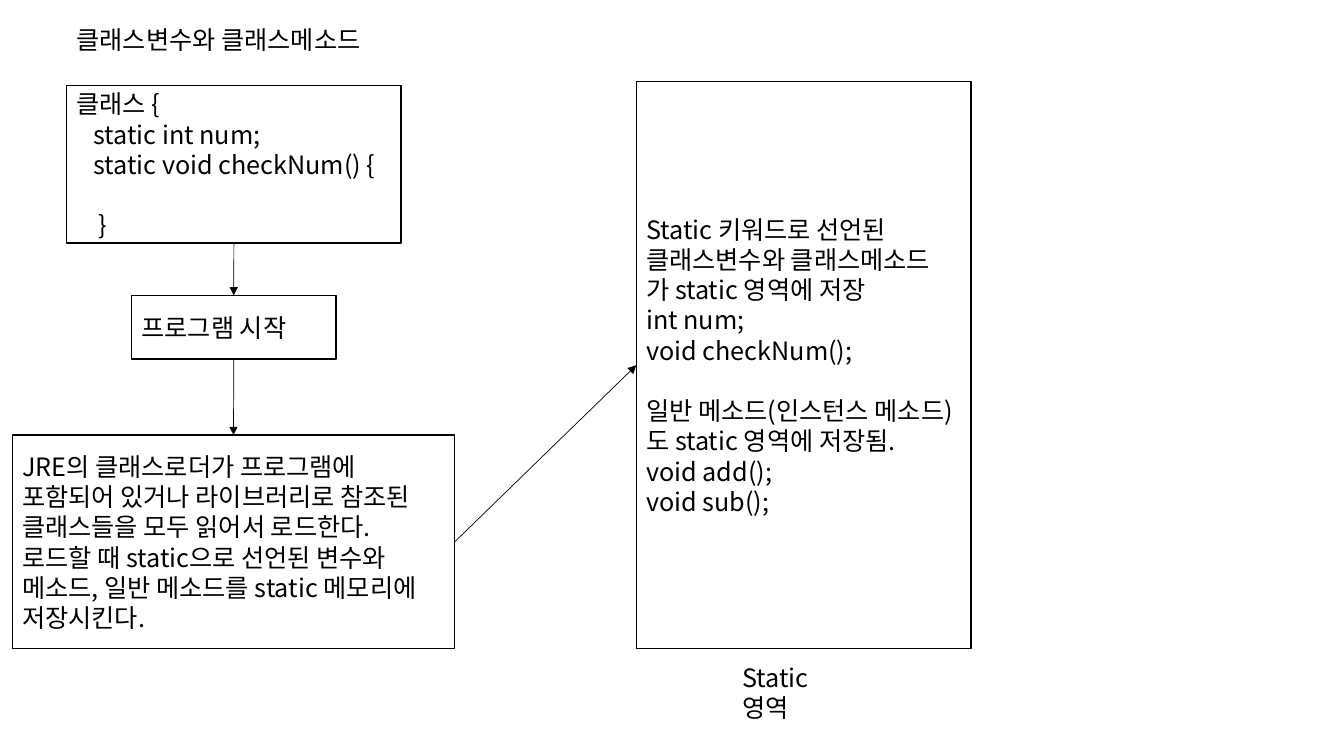
from pptx import Presentation
from pptx.dml.color import RGBColor
from pptx.enum.shapes import MSO_CONNECTOR as Link, MSO_SHAPE as Form
from pptx.enum.text import MSO_ANCHOR as Anchor, PP_ALIGN as Align
from pptx.oxml.ns import qn
from pptx.util import Pt
from lxml.etree import SubElement as Sub

LINE = 21.6  # height of one text line
TOP, LEFT, BASE, RIGHT = range(4)  # connection sites of a rectangle


def color(code):
    return RGBColor.from_string(code)


def write(para, text, size=18, font="Noto Sans CJK KR", ink="000000", indent=0, gap=0):
    para.alignment = Align.LEFT
    para.space_before = Pt(gap)
    para.line_spacing = 1.0
    props = para._p.get_or_add_pPr()
    props.set("marL", str(Pt(indent)))
    props.set("indent", "0")
    run = para.add_run()
    run.text = text
    run.font.size = Pt(size)
    run.font.name = font
    run.font.color.rgb = color(ink)
    Sub(run._r.get_or_add_rPr(), qn("a:ea"), typeface=font)


class Board:
    ink = "000000"
    edge = 1
    thin = 0.5

    def __init__(self, slide):
        self.items = slide.shapes

    def fill(self, shape, lines, anchor, inset=7.2):
        frame = shape.text_frame
        frame.word_wrap = True
        frame.vertical_anchor = anchor
        frame.margin_right = Pt(inset)
        for num, line in enumerate(lines):
            text, style = line if isinstance(line, tuple) else (line, {})
            para = frame.add_paragraph() if num else frame.paragraphs[0]
            write(para, text, ink=self.ink, **style)

    def label(self, text, x, y, w, h, inset=7.2):
        area = self.items.add_textbox(Pt(x), Pt(y), Pt(w), Pt(h))
        self.fill(area, [text], Anchor.TOP, inset)

    def box(self, lines, x, y, w, h):
        rect = self.items.add_shape(Form.RECTANGLE, Pt(x), Pt(y), Pt(w), Pt(h))
        rect.shadow.inherit = False
        rect.fill.background()
        rect.line.color.rgb = color(self.ink)
        rect.line.width = Pt(self.edge)
        self.fill(rect, lines, Anchor.MIDDLE)
        return rect

    def arrow(self, start, out, end, into):
        link = self.items.add_connector(Link.STRAIGHT, 0, 0, 0, 0)
        link.begin_connect(start, out)
        link.end_connect(end, into)
        link.line.color.rgb = color(self.ink)
        link.line.width = Pt(self.thin)
        Sub(link.line._get_or_add_ln(), qn("a:tailEnd"), type="triangle")
        Sub(link._element.spPr, qn("a:effectLst"))


deck = Presentation()
deck.slide_width, deck.slide_height = Pt(960), Pt(540)
board = Board(deck.slides.add_slide(deck.slide_layouts[6]))

# Title
board.label("클래스변수와 클래스메소드", 47.6, 13.7, 239, 29)

# Steps on the left
code = board.box([
    "클래스 {",
    ("static int num;", {"indent": 12}),
    ("static void checkNum() {", {"indent": 12}),
    ("}", {"indent": 16, "gap": LINE}),
], 47.6, 61.2, 239, 112.3)
start = board.box(["프로그램 시작"], 94, 211, 146, 45.5)
load = board.box([
    "JRE의 클래스로더가 프로그램에 포함되어 있거나 라이브러리로 참조된 "
    "클래스들을 모두 읽어서 로드한다.",
    "로드할 때 static으로 선언된 변수와 메소드, 일반 메소드를 "
    "static 메모리에 저장시킨다.",
], 8.8, 310.8, 316, 152.5)

# Static area on the right
area = board.box([
    "Static 키워드로 선언된",
    "클래스변수와 클래스메소드",
    "가 static 영역에 저장",
    "int num;",
    "void checkNum();",
    ("일반 메소드(인스턴스 메소드)도 static 영역에 저장됨.", {"gap": LINE}),
    "void add();",
    "void sub();",
], 454.5, 58.4, 239, 405)
board.label("Static 영역", 523, 469.5, 101.5, 29, inset=30)

# Flow
board.arrow(code, BASE, start, TOP)
board.arrow(start, BASE, load, TOP)
board.arrow(load, RIGHT, area, LEFT)

deck.save("out.pptx")
